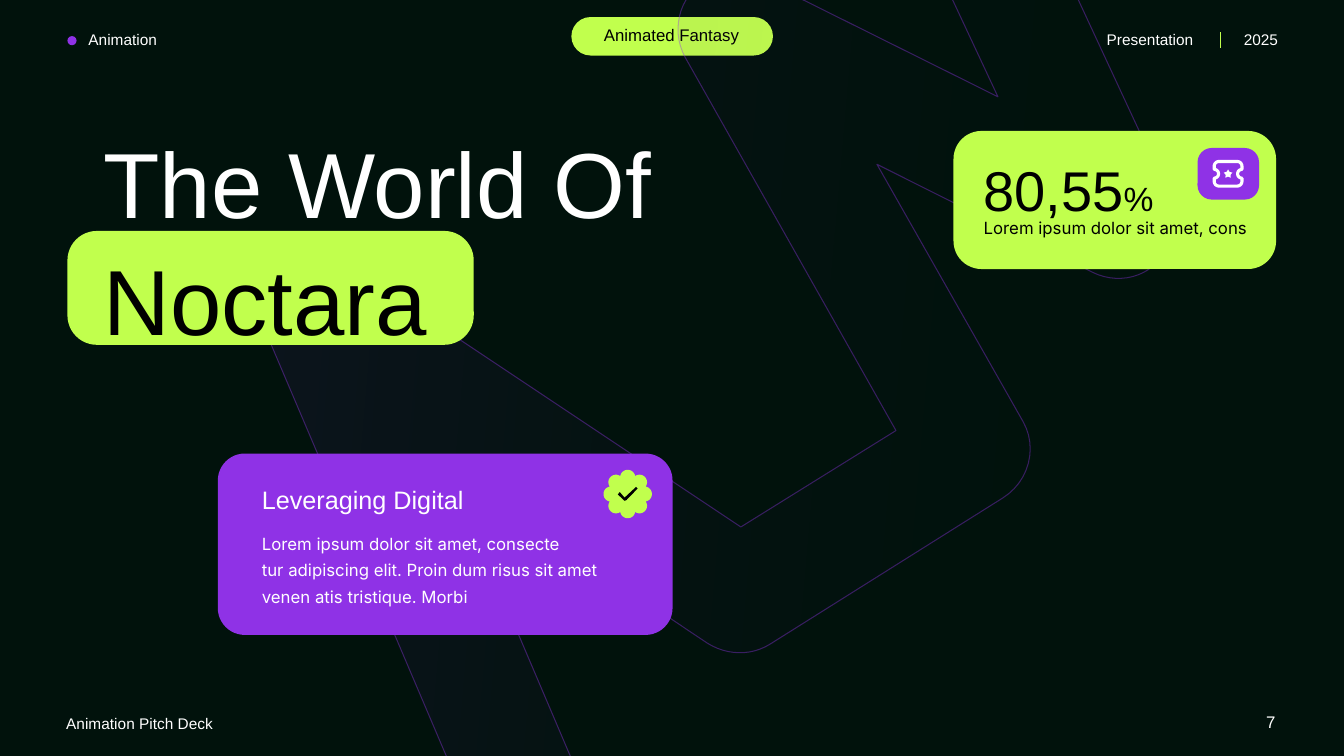
import math

import pptx
import pptx.dml.color
import pptx.enum.shapes
import pptx.enum.text
import pptx.oxml.ns
import pptx.util
from lxml import etree

Cm = pptx.util.Cm
RGB = pptx.dml.color.RGBColor
SHAPE = pptx.enum.shapes.MSO_SHAPE
ALIGN = pptx.enum.text.PP_ALIGN

NIGHT = RGB(0x01, 0x12, 0x0C)
LIME = RGB(0xC1, 0xFF, 0x4D)
PURPLE = RGB(0x8F, 0x32, 0xE6)
WHITE = RGB(0xFF, 0xFF, 0xFF)
BLACK = RGB(0, 0, 0)

# All positions are in centimetres: left, top, width, height.
SMALL = {"name": "Arial", "size": 11, "color": WHITE}
NUMBER = {"name": "Arial", "size": 12, "color": WHITE}
TAG = {"name": "Arial", "size": 12, "color": BLACK}
TITLE = {"name": "Arial", "size": 66, "color": WHITE}
TITLE_DARK = {"name": "Arial", "size": 66, "color": BLACK}
HEADING = {"name": "Arial", "size": 18, "color": WHITE}
FIGURE = {"name": "Arial", "size": 40, "color": BLACK}
PERCENT = {"name": "Arial", "size": 24, "color": BLACK}
BODY = {"name": "Inter", "size": 12, "color": WHITE}
BODY_DARK = {"name": "Inter", "size": 12, "color": BLACK}

# Box, paragraphs of (text, format) runs, alignment, line spacing
HEADER_TEXTS = [
    ((1.98, 0.64, 3.25, 0.74), [[("Animation", SMALL)]], ALIGN.LEFT, 1),
    ((27.64, 0.64, 2.95, 0.74), [[("Presentation", SMALL)]], ALIGN.LEFT, 1),
    ((30.89, 0.64, 1.57, 0.74), [[("2025", SMALL)]], ALIGN.RIGHT, 1),
    ((30.66, 17.81, 1.73, 0.76), [[("7", NUMBER)]], ALIGN.RIGHT, 1),
    ((1.42, 17.86, 6.73, 0.74), [[("Animation Pitch Deck", SMALL)]], ALIGN.LEFT, 1),
    ((14.88, 0.51, 4.09, 0.76), [[("Animated Fantasy", TAG)]], ALIGN.CENTER, 1),
]
CARD_TEXTS = [
    ((2.36, 2.92, 15.01, 5.89),
     [[("The World Of ", TITLE), ("Noctara", TITLE_DARK)]], ALIGN.LEFT, 1.05),
    ((6.35, 13.18, 9.04, 2.18),
     [[("Lorem ipsum dolor sit amet, consecte", BODY)],
      [("tur adipiscing elit. Proin dum risus sit amet venen atis tristique. Morbi", BODY)]],
     ALIGN.LEFT, 1.3),
    ((6.35, 12.09, 7.04, 1.02), [[("Leveraging Digital", HEADING)]], ALIGN.LEFT, 1),
    ((24.54, 3.3, 6.27, 2.49), [[("80,55", FIGURE), ("%", PERCENT)]], ALIGN.LEFT, 1.3),
    ((24.54, 5.21, 7.19, 0.86),
     [[("Lorem ipsum dolor sit amet, cons", BODY_DARK)]], ALIGN.LEFT, 1.3),
]

# Box, fill, corner rounding
TAG_PILL = ((14.4, 0.43, 5.08, 0.97), LIME, 0.5)
CARDS = [
    ((24.03, 3.3, 8.13, 3.48), LIME, 0.203),
    ((1.7, 5.82, 10.24, 2.87), LIME, 0.259),
    ((5.49, 11.43, 11.46, 4.57), PURPLE, 0.149),
    ((30.18, 3.73, 1.55, 1.3), PURPLE, 0.276),
]
HEADER_DOT = (1.7, 0.91, 0.23, 0.23)
HEADER_RULE = (30.76, 0.81, 30.76, 1.22)

# One point is a corner; three points are a curve (two handles and its end).
RIBBON = [
    [(26.62, 26.49)], [(25.58, 30.38)], [(23.16, 26.34)], [(17.81, 30.05)],
    [(17.45, 30.3), (17.02, 30.38), (16.59, 30.25)],
    [(16.18, 30.12), (15.85, 29.85), (15.67, 29.44)],
    [(6.76, 8.51)],
    [(6.63, 8.2), (6.63, 7.87), (6.71, 7.57)],
    [(6.78, 7.29), (6.93, 7.04), (7.16, 6.83)],
    [(7.67, 6.43), (8.36, 6.4), (8.89, 6.76)],
    [(18.67, 13.28)], [(22.58, 10.85)], [(17.27, 1.45)],
    [(16.97, 0.91), (17.04, 0.2), (17.48, -0.25)],
    [(17.91, -0.71), (18.59, -0.84), (19.18, -0.53)],
    [(25.15, 2.44)], [(21.87, -4.57)], [(25.5, -3.61)], [(29.49, 4.98)],
    [(29.74, 5.54), (29.62, 6.17), (29.18, 6.6)],
    [(28.75, 7.04), (28.09, 7.14), (27.53, 6.86)],
    [(22.1, 4.14)], [(25.78, 10.62)],
    [(26.16, 11.28), (25.93, 12.14), (25.27, 12.55)],
    [(19.41, 16.23)],
    [(18.92, 16.54), (18.31, 16.51), (17.83, 16.21)],
    [(11.3, 11.84)], [(17.63, 26.7)], [(22.81, 23.09)],
    [(23.14, 22.86), (23.55, 22.78), (23.93, 22.86)],
    [(24.33, 22.94), (24.66, 23.19), (24.87, 23.52)],
]
BADGE_CENTRE, PETALS, PETAL_DISTANCE, PETAL_RADIUS = (15.82, 12.45), 8, 0.42, 0.19
CHECK = [(16.03, 12.27), (15.74, 12.54), (15.62, 12.4), (15.57, 12.46),
         (15.74, 12.62), (15.79, 12.6), (16.07, 12.31)]
TICKET_CENTRE = (30.95, 4.38)
# Arc centre from the ticket's centre, radius, start and end angle
TICKET_ARCS = [
    (0.35, 0, 0.11, 270, 90), (0.23, 0.19, 0.12, 0, 90),
    (-0.23, 0.19, 0.12, 90, 180), (-0.35, 0, 0.11, 90, -90),
    (-0.23, -0.19, 0.12, 180, 270), (0.23, -0.19, 0.12, 270, 360),
]
STAR = (30.84, 4.27, 0.22, 0.21)


def curve_points(segments, steps=12):
    """Flatten corners and cubic curves into a list of points."""
    points = []
    for segment in segments:
        if len(segment) == 1:
            points += segment
            continue
        controls = [points[-1]] + segment
        for step in range(1, steps + 1):
            t = step / steps
            weights = [math.comb(3, n) * t ** n * (1 - t) ** (3 - n) for n in range(4)]
            points.append(tuple(sum(w * c[axis] for w, c in zip(weights, controls))
                                for axis in (0, 1)))
    return points


def arc_points(x, y, radius, start, end, steps=16):
    angles = [math.radians(start + (end - start) * n / steps) for n in range(steps + 1)]
    return [(x + radius * math.cos(a), y + radius * math.sin(a)) for a in angles]


def paint(shape, fill):
    shape.shadow.inherit = False
    shape.line.fill.background()
    if fill is None:
        shape.fill.background()
    else:
        shape.fill.solid()
        shape.fill.fore_color.rgb = fill
    return shape


def add_outline(slide, points, fill=None):
    corners = [(Cm(x), Cm(y)) for x, y in points]
    builder = slide.shapes.build_freeform(*corners[0], scale=1.0)
    builder.add_line_segments(corners[1:], close=True)
    return paint(builder.convert_to_shape(), fill)


def add_preset(slide, preset, box, fill):
    return paint(slide.shapes.add_shape(preset, *map(Cm, box)), fill)


def add_card(slide, box, fill, rounding):
    add_preset(slide, SHAPE.ROUNDED_RECTANGLE, box, fill).adjustments[0] = rounding


def set_stroke(shape, color, width):
    shape.line.color.rgb = color
    shape.line.width = pptx.util.Pt(width)


def set_alphas(element, percents):
    """Give each colour in the element its opacity, in order."""
    for color, percent in zip(element.iter(pptx.oxml.ns.qn("a:srgbClr")), percents):
        etree.SubElement(color, pptx.oxml.ns.qn("a:alpha"), val=str(percent * 1000))


def add_text(slide, box, paragraphs, alignment, spacing):
    frame = slide.shapes.add_textbox(*map(Cm, box)).text_frame
    frame.word_wrap = True
    for index, runs in enumerate(paragraphs):
        paragraph = frame.add_paragraph() if index else frame.paragraphs[0]
        paragraph.alignment = alignment
        paragraph.line_spacing = float(spacing)
        for text, style in runs:
            run = paragraph.add_run()
            run.text = text
            for key, value in style.items():
                if key == "color":
                    run.font.color.rgb = value
                else:
                    setattr(run.font, key, pptx.util.Pt(value) if key == "size" else value)


def add_ribbon(slide):
    ribbon = add_outline(slide, curve_points(RIBBON))
    ribbon.fill.gradient()
    ribbon.fill.gradient_angle = 175
    for stop, color in zip(ribbon.fill.gradient_stops, (NIGHT, PURPLE)):
        stop.color.rgb = color
    set_stroke(ribbon, PURPLE, 0.75)
    set_alphas(ribbon.element.spPr, (0, 9, 38))


def add_badge(slide):
    petals = []
    for n in range(PETALS):
        turn = 360 * n / PETALS
        x, y = (c + PETAL_DISTANCE * f(math.radians(turn))
                for c, f in zip(BADGE_CENTRE, (math.cos, math.sin)))
        petals += arc_points(x, y, PETAL_RADIUS, turn - 80, turn + 80)
    add_outline(slide, petals, LIME)
    add_outline(slide, CHECK, BLACK)


def add_ticket(slide):
    left, top = TICKET_CENTRE
    edge = [point for x, y, *sweep in TICKET_ARCS
            for point in arc_points(left + x, top + y, *sweep)]
    set_stroke(add_outline(slide, edge), WHITE, 2.2)
    add_preset(slide, SHAPE.STAR_5_POINT, STAR, WHITE).adjustments[0] = 0.28


def main():
    deck = pptx.Presentation()
    deck.slide_width, deck.slide_height = Cm(33.87), Cm(19.05)
    slide = deck.slides.add_slide(deck.slide_layouts[6])
    slide.background.fill.solid()
    slide.background.fill.fore_color.rgb = NIGHT

    add_preset(slide, SHAPE.OVAL, HEADER_DOT, PURPLE)
    rule = slide.shapes.add_connector(
        pptx.enum.shapes.MSO_CONNECTOR.STRAIGHT, *map(Cm, HEADER_RULE))
    set_stroke(rule, LIME, 1)
    etree.SubElement(rule.element.spPr, pptx.oxml.ns.qn("a:effectLst"))
    add_card(slide, *TAG_PILL)
    for text in HEADER_TEXTS:
        add_text(slide, *text)
    add_ribbon(slide)
    for card in CARDS:
        add_card(slide, *card)
    for text in CARD_TEXTS:
        add_text(slide, *text)
    add_badge(slide)
    add_ticket(slide)
    deck.save("out.pptx")


if __name__ == "__main__":
    main()
